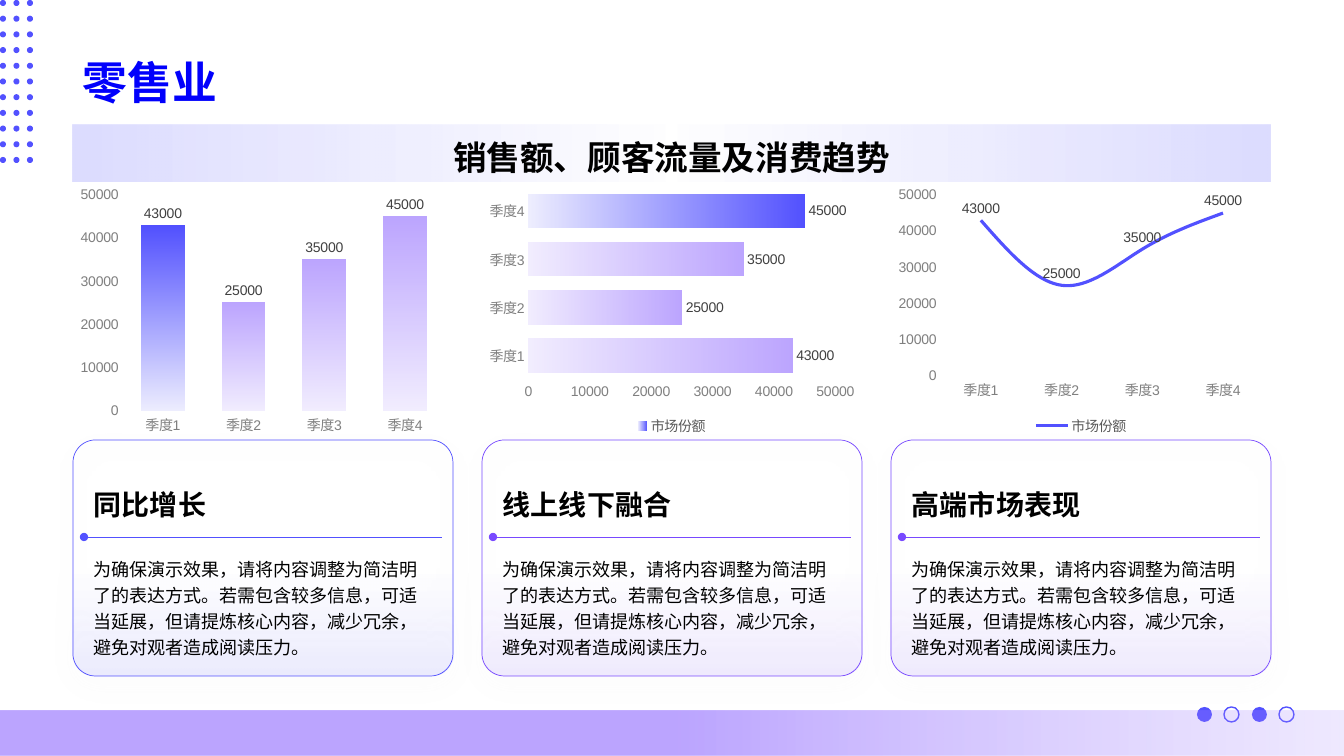
import math

from lxml import etree
from pptx import Presentation
from pptx import util as u
from pptx.chart.data import CategoryChartData
from pptx.dml.color import RGBColor
from pptx.enum import chart as ch, shapes, text
from pptx.oxml.ns import qn

PX = 914400 / 100.8
BLUE = RGBColor(0x52, 0x51, 0xFF)
VIOLET = RGBColor(0x78, 0x49, 0xFF)
LILAC = RGBColor(0xAE, 0x92, 0xFF)
TITLE_BLUE = RGBColor(0x01, 0x00, 0xFC)
BLACK = RGBColor(0, 0, 0)
WHITE = RGBColor(0xFF, 0xFF, 0xFF)
AXIS_GREY = RGBColor(0x7F, 0x7F, 0x7F)
LABEL_GREY = RGBColor(0x40, 0x40, 0x40)
LEGEND_GREY = RGBColor(0x59, 0x59, 0x59)

CARD_LEFT, CARD_STEP, CARD_WIDTH = 73, 409, 380
CARDS = [("同比增长", BLUE), ("线上线下融合", VIOLET), ("高端市场表现", VIOLET)]
BODY = ("为确保演示效果，请将内容调整为简洁明了的表达方式。若需包含较多信息，"
        "可适当延展，但请提炼核心内容，减少冗余，避免对观者造成阅读压力。")
QUARTERS = ["季度1", "季度2", "季度3", "季度4"]
SALES = [43000, 25000, 35000, 45000]
STRONG = [(0, BLUE, 100), (100, BLUE, 10)]
SOFT = [(0, VIOLET, 50), (100, VIOLET, 10)]


def px(*lengths):
    return [u.Emu(round(n * PX)) for n in lengths]


def apply(target, values):
    for name, value in values.items():
        setattr(target, name, value)


def sub(parent, tag, **attributes):
    return etree.SubElement(parent, qn(tag), {k: str(v) for k, v in attributes.items()})


def set_font(font, size, color, bold=False):
    apply(font, {"name": "Arial", "size": u.Pt(size), "bold": bold})
    font.color.rgb = color


def set_gradient(fill, stops, angle):
    """Stops are (position %, colour, opacity %); the angle runs clockwise."""
    fill.gradient()
    fill.gradient_angle = (360 - angle) % 360
    stop_list = fill.gradient_stops[0].element.getparent()
    for default in list(stop_list):
        stop_list.remove(default)
    for position, color, opacity in stops:
        stop = sub(stop_list, "a:gs", pos=position * 1000)
        sub(sub(stop, "a:srgbClr", val=color), "a:alpha", val=opacity * 1000)


def set_line(line, color, width):
    line.color.rgb = color
    line.width = u.Pt(width)


def add_shape(slide, kind, box):
    shape = slide.shapes.add_shape(kind, *px(*box))
    shape.shadow.inherit = False
    shape.line.fill.background()
    return shape


def write(shape, words, size, color=BLACK, bold=True,
          anchor=text.MSO_ANCHOR.BOTTOM, align=text.PP_ALIGN.LEFT):
    frame = shape.text_frame
    apply(frame, {"word_wrap": True, "vertical_anchor": anchor})
    paragraph = frame.paragraphs[0]
    apply(paragraph, {"text": words, "alignment": align, "line_spacing": 1.2})
    set_font(paragraph.runs[0].font, size, color, bold)


def add_text(slide, box, *args, **options):
    write(slide.shapes.add_textbox(*px(*box)), *args, **options)


def add_dot_grid(slide):
    """Corner pattern of 3 by 11 dots in one outline."""
    radius, sides = 3, 16
    builder = None
    for row in range(11):
        for column in range(3):
            x, y = radius + 27 * column / 2, radius + 157 * row / 10
            turns = [2 * math.pi * k / sides for k in range(sides)]
            rim = [px(x + radius * math.cos(t), y + radius * math.sin(t)) for t in turns]
            if builder is None:
                builder = slide.shapes.build_freeform(*rim[0], scale=1.0)
            else:
                builder.move_to(*rim[0])
            builder.add_line_segments(rim[1:], close=True)
    dots = builder.convert_to_shape()
    dots.shadow.inherit = False
    dots.fill.solid()
    dots.fill.fore_color.rgb = BLUE
    dots.line.fill.background()


def add_page_dots(slide):
    for i in range(4):
        dot = add_shape(slide, shapes.MSO_SHAPE.OVAL, (1197 + 55 * i // 2, 707, 15, 15))
        dot.fill.solid()
        dot.fill.fore_color.rgb = WHITE if i % 2 else BLUE
        if i % 2:
            set_line(dot.line, BLUE, 1)


def add_card(slide, left, heading, color):
    card = add_shape(slide, shapes.MSO_SHAPE.ROUNDED_RECTANGLE, (left, 440, CARD_WIDTH, 236))
    card.adjustments[0] = 0.095
    set_gradient(card.fill, [(56, color, 0), (100, color, 10)], 90)
    set_line(card.line, color, 0.5)
    effects = card.element.spPr.find(qn("a:effectLst"))
    shadow = sub(effects, "a:outerShdw", blurRad=u.Pt(20), dist=u.Pt(5), dir=5400000)
    sub(sub(shadow, "a:srgbClr", val="808080"), "a:alpha", val=15000)

    inner, width = left + 11, 358
    add_text(slide, (inner, 454, width, 72), heading, 20)
    add_text(slide, (inner, 549, width, 119), BODY, 12.9, bold=False,
             anchor=text.MSO_ANCHOR.TOP)
    rule = slide.shapes.add_connector(shapes.MSO_CONNECTOR.STRAIGHT,
                                      *px(inner, 537, inner + width, 537))
    set_line(rule.line, color, 0.5)
    sub(rule.line.color._xFill.getparent(), "a:headEnd", type="oval")
    sub(rule.element.spPr, "a:effectLst")


def add_sales_chart(slide, left, kind, series_name, label_position, legend=True):
    data = CategoryChartData()
    data.categories = QUARTERS
    data.add_series(series_name, SALES)
    chart = slide.shapes.add_chart(kind, *px(left, 182, CARD_WIDTH, 258), data).chart
    apply(chart, {"has_title": False, "has_legend": legend})
    set_font(chart.font, 10, BLACK)
    if legend:
        apply(chart.legend, {"position": ch.XL_LEGEND_POSITION.BOTTOM,
                             "include_in_layout": False})
        set_font(chart.legend.font, 10, LEGEND_GREY)
    for axis in (chart.category_axis, chart.value_axis):
        apply(axis, {"has_major_gridlines": False,
                     "major_tick_mark": ch.XL_TICK_MARK.NONE,
                     "minor_tick_mark": ch.XL_TICK_MARK.NONE})
        axis.format.line.fill.background()
        set_font(axis.tick_labels.font, 10, AXIS_GREY)
    apply(chart.value_axis, {"minimum_scale": 0, "maximum_scale": 50000, "major_unit": 10000})
    plot = chart.plots[0]
    apply(plot, {"vary_by_categories": False, "has_data_labels": True})
    apply(plot.data_labels, {"show_value": True, "position": label_position})
    set_font(plot.data_labels.font, 10, LABEL_GREY)
    return plot


def color_bars(plot, strong_quarter, angle, spacing):
    apply(plot, spacing)
    series = plot.series[0]
    set_gradient(series.format.fill, STRONG, angle)
    for i in range(len(SALES)):
        stops = STRONG if i == strong_quarter else SOFT
        set_gradient(series.points[i].format.fill, stops, angle)


def main():
    deck = Presentation()
    deck.slide_width, deck.slide_height = px(1344, 756)
    slide = deck.slides.add_slide(deck.slide_layouts[6])

    add_page_dots(slide)
    add_dot_grid(slide)
    add_text(slide, (73, 14, 1197, 99), "零售业", 32, TITLE_BLUE)
    banner = add_shape(slide, shapes.MSO_SHAPE.RECTANGLE, (73, 125, 1197, 57))
    set_gradient(banner.fill, [(0, BLUE, 20), (50, BLUE, 0), (100, BLUE, 20)], 180)
    write(banner, "销售额、顾客流量及消费趋势", 24,
          anchor=text.MSO_ANCHOR.MIDDLE, align=text.PP_ALIGN.CENTER)
    footer = add_shape(slide, shapes.MSO_SHAPE.RECTANGLE, (0, 711, 1344, 45))
    set_gradient(footer.fill, [(50, VIOLET, 50), (100, LILAC, 20)], 0)

    lefts = [CARD_LEFT + CARD_STEP * i for i in range(len(CARDS))]
    for left, (heading, color) in zip(lefts, CARDS):
        add_card(slide, left, heading, color)

    kinds, places = ch.XL_CHART_TYPE, ch.XL_LABEL_POSITION
    columns = add_sales_chart(slide, lefts[0], kinds.COLUMN_CLUSTERED, "Series 1",
                              places.OUTSIDE_END, legend=False)
    color_bars(columns, 0, 90, {"gap_width": 89, "overlap": -27})
    bars = add_sales_chart(slide, lefts[1], kinds.BAR_CLUSTERED, "市场份额", places.OUTSIDE_END)
    color_bars(bars, 3, 180, {"gap_width": 45})
    trend = add_sales_chart(slide, lefts[2], kinds.LINE, "市场份额", places.ABOVE).series[0]
    trend.smooth = True
    trend.marker.style = ch.XL_MARKER_STYLE.NONE
    set_line(trend.format.line, BLUE, 2.25)

    deck.save("out.pptx")


if __name__ == "__main__":
    main()
